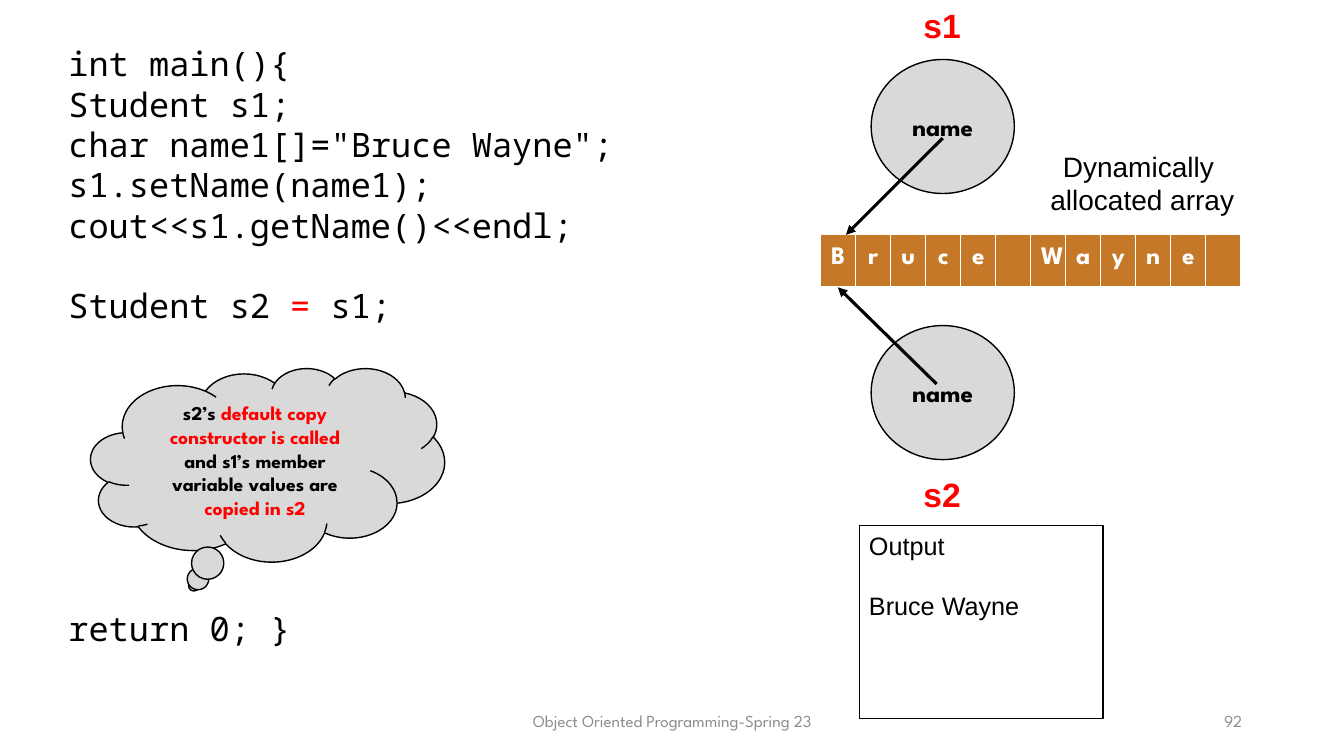
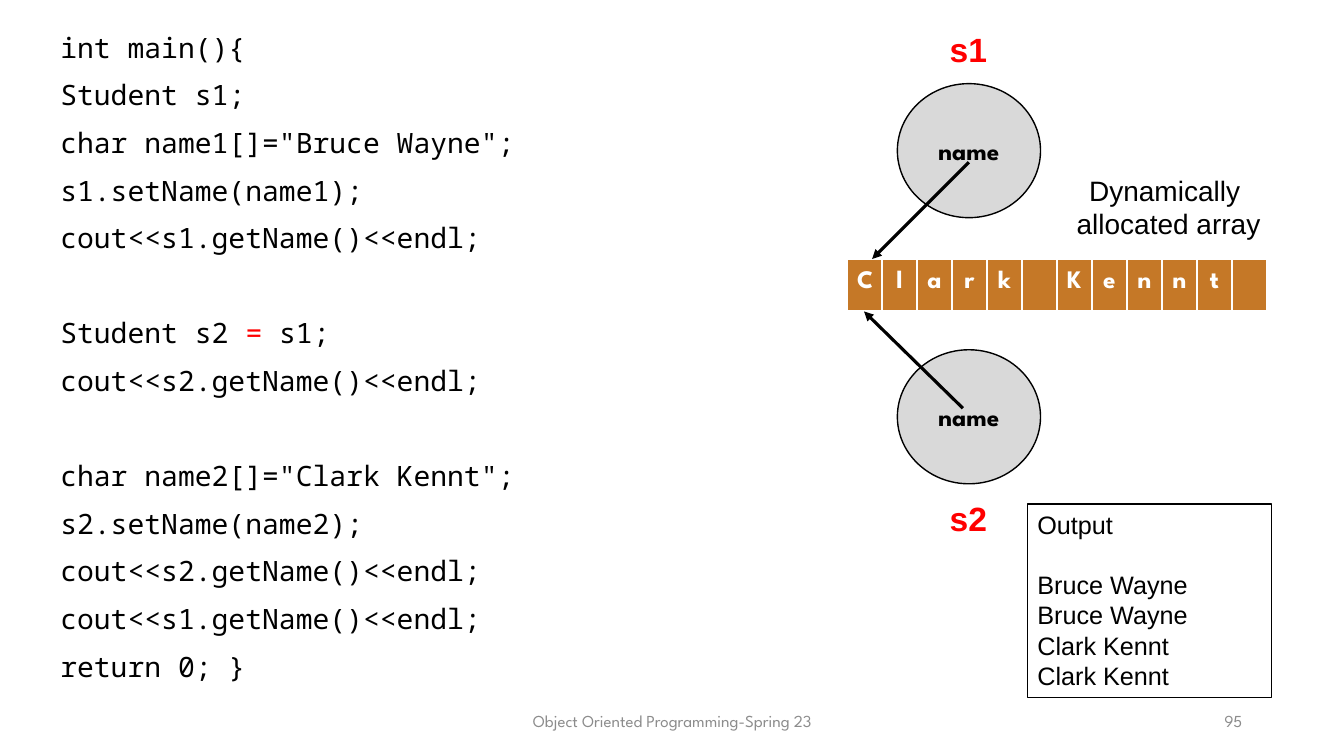
from lxml import etree
from pptx import Presentation
from pptx.dml.color import RGBColor
from pptx.enum.shapes import MSO_CONNECTOR, MSO_SHAPE
from pptx.enum.text import MSO_ANCHOR, PP_ALIGN
from pptx.oxml.ns import qn
from pptx.util import Pt

PX = 9144  # 100 px to the inch
LEFT, MID, RIGHT = PP_ALIGN.LEFT, PP_ALIGN.CENTER, PP_ALIGN.RIGHT
TOP, MIDDLE = MSO_ANCHOR.TOP, MSO_ANCHOR.MIDDLE
OVAL, CLOUD, RECT = MSO_SHAPE.OVAL, MSO_SHAPE.CLOUD_CALLOUT, MSO_SHAPE.RECTANGLE
STRAIGHT = MSO_CONNECTOR.STRAIGHT

BLACK = RGBColor(0x00, 0x00, 0x00)
WHITE = RGBColor(0xFF, 0xFF, 0xFF)
RED = RGBColor(0xFF, 0x00, 0x00)
GRAY = RGBColor(0x8C, 0x8C, 0x8C)
PALE = RGBColor(0xD9, 0xD9, 0xD9)
BROWN = RGBColor(0xC5, 0x78, 0x27)

SANS, HEAD, MONO = "Arial", "League Spartan", "Noto Sans Mono"
LEAD = 1.2  # line pitch per point of type

# Content: a number in a list skips that many lines, a tuple holds (text, colour) runs
FOOTER = "Object Oriented Programming-Spring 23"
START = [
    "int main(){",
    "Student s1;",
    'char name1[]="Bruce Wayne";',
    "s1.setName(name1);",
    "cout<<s1.getName()<<endl;",
    1,
    (("Student s2 ", BLACK), ("= ", RED), ("s1;", BLACK)),
]
END = "return 0; }"
THOUGHT = [
    (("s2’s ", BLACK), ("default copy constructor is called", RED)),
    (("and s1’s member variable values are ", BLACK), ("copied in s2", RED)),
]
SLIDES = [
    {
        "page": "92",
        "code": START + [7, END],
        "place": (58, 38, 942, 616), "size": 24, "space": 0,
        "cloud": (90, 365, 351, 192),
        "shift": (0, 0),
        "array": "Bruce Wayne",
        "output": ["Output", 1, "Bruce Wayne"],
        "screen": (852, 521),
    },
    {
        "page": "95",
        "code": START + [
            "cout<<s2.getName()<<endl;",
            1,
            'char name2[]="Clark Kennt";',
            "s2.setName(name2);",
            "cout<<s2.getName()<<endl;",
            "cout<<s1.getName()<<endl;",
            END,
        ],
        "place": (50, 25, 900, 645), "size": 20, "space": 10,
        "shift": (26, 24),
        "array": "Clark Kennt",
        "output": ["Output", 1, "Bruce Wayne", "Bruce Wayne",
                   "Clark Kennt", "Clark Kennt"],
        "screen": (1019, 500),
    },
]

# Diagram: label, label top, circle top, arrow start and end
OBJECTS = [
    ("s1", 0, 59, (935, 137), (839, 233)),
    ("s2", 465, 323, (929, 381), (831, 285)),
]
CELLS = 12


def emu(*lens):
    return [round(n * PX) for n in lens]


def write(frame, lines, size, font, color=BLACK, bold=False, align=LEFT, space=0):
    """Write lines into a frame; skipped lines become space before."""
    skip, fresh = 0, True
    for line in lines:
        if isinstance(line, int):
            skip = line
            continue
        para = frame.paragraphs[0] if fresh else frame.add_paragraph()
        para.alignment = align
        para.line_spacing = Pt(size * LEAD)
        if not fresh:
            para.space_before = Pt(space + skip * (size * LEAD + space))
        skip, fresh = 0, False
        for text, tint in ((line, color),) if isinstance(line, str) else line:
            run = para.add_run()
            run.text = text
            run.font.size, run.font.name = Pt(size), font
            run.font.bold, run.font.color.rgb = bold, tint


def label(slide, box, lines, size, font, wrap=True, anchor=TOP, **style):
    frame = slide.shapes.add_textbox(*emu(*box)).text_frame
    frame.word_wrap, frame.vertical_anchor = wrap, anchor
    write(frame, lines, size, font, **style)


def shape(slide, kind, box, lines, size, font, fill=None, line=1, anchor=MIDDLE, **style):
    item = slide.shapes.add_shape(kind, *emu(*box))
    item.shadow.inherit = False
    if fill is None:
        item.fill.background()
    else:
        item.fill.solid()
        item.fill.fore_color.rgb = fill
    item.line.color.rgb, item.line.width = BLACK, Pt(line)
    item.text_frame.word_wrap, item.text_frame.vertical_anchor = True, anchor
    write(item.text_frame, lines, size, font, **style)


def arrow(slide, start, end):
    item = slide.shapes.add_connector(STRAIGHT, *emu(*start, *end))
    item.line.color.rgb, item.line.width = BLACK, Pt(2.25)
    etree.SubElement(item.get_or_add_ln(), qn("a:tailEnd"), type="triangle")
    etree.SubElement(item._element.spPr, qn("a:effectLst"))


def array(slide, box, word):
    # The default table style draws the white rules
    table = slide.shapes.add_table(1, CELLS, *emu(*box)).table
    for col, char in enumerate(word.ljust(CELLS)):
        table.columns[col].width = round(box[2] * PX / CELLS)
        cell = table.cell(0, col)
        cell.fill.solid()
        cell.fill.fore_color.rgb = BROWN
        if char != " ":
            write(cell.text_frame, [char], 18, HEAD, WHITE, True, MID)


def diagram(slide, shift, word):
    dx, dy = shift

    def at(x, y, *size):
        return (x + dx, y + dy, *size)

    array(slide, at(814, 233, 417, 51), word)
    for name, top, ring, start, end in OBJECTS:
        label(slide, at(906, top, 58, 50), [name], 24, SANS, wrap=False,
              color=RED, bold=True)
        shape(slide, OVAL, at(864, ring, 142, 133), ["name"], 18, HEAD,
              fill=PALE, bold=True, align=MID)
        arrow(slide, at(*start), at(*end))
    label(slide, at(1031, 143, 204, 77), ["Dynamically ", "allocated array"],
          20, SANS, wrap=False, align=MID)


def build(deck, data):
    slide = deck.slides.add_slide(deck.slide_layouts[6])
    # Footer
    for box, text, align in (((442, 695, 450, 40), FOOTER, MID),
                             ((942, 695, 300, 40), data["page"], RIGHT)):
        label(slide, box, [text], 12, HEAD, anchor=MIDDLE, color=GRAY, align=align)
    # Code and thought
    label(slide, data["place"], data["code"], data["size"], MONO, space=data["space"])
    if "cloud" in data:
        shape(slide, CLOUD, data["cloud"], THOUGHT, 14, HEAD,
              fill=PALE, bold=True, align=MID)
    # Memory and output
    diagram(slide, data["shift"], data["array"])
    shape(slide, RECT, (*data["screen"], 242, 192), data["output"], 18, SANS,
          line=0.75, anchor=TOP)


def main():
    deck = Presentation()
    deck.slide_width, deck.slide_height = emu(1333, 750)
    for data in SLIDES:
        build(deck, data)
    deck.save("out.pptx")


if __name__ == "__main__":
    main()
